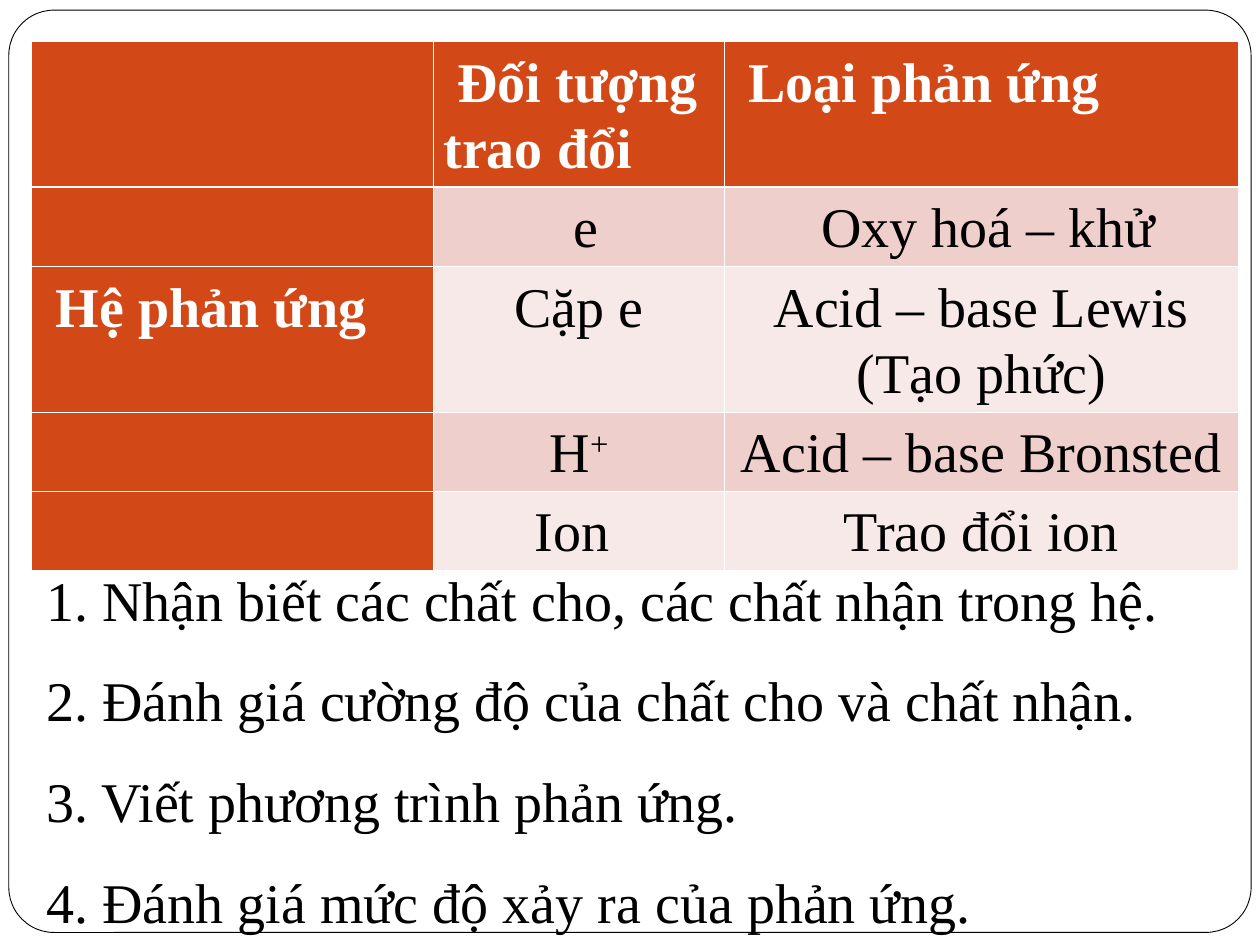
import pptx
import pptx.dml.color
import pptx.enum.shapes
import pptx.enum.text
import pptx.oxml
import pptx.oxml.ns
import pptx.util
from dataclasses import dataclass

ALIGN = pptx.enum.text.PP_ALIGN


@dataclass(frozen=True)
class Theme:
    font: str = "Times New Roman"
    size: int = 32
    ink: str = "000000"
    paper: str = "FFFFFF"
    head: str = "D34817"
    bands: tuple = ("F7E9E7", "EFCFCC")
    thin: float = 0.45
    thick: float = 1.47


@dataclass(frozen=True)
class Row:
    units: int  # height in text lines
    cells: tuple


@dataclass(frozen=True)
class Box:
    """Shares of the slide's width and height."""
    left: float
    top: float
    width: float
    height: float

    def place(self) -> tuple:
        return (int(WIDE * self.left), int(HIGH * self.top),
                int(WIDE * self.width), int(HIGH * self.height))


THEME = Theme()
WIDE, HIGH = pptx.util.Inches(10), pptx.util.Inches(7.5)
UNIT = pptx.util.Inches(0.57)
COLS = (0.319, 0.231, 0.408)
FRAME = Box(0.007, 0.0107, 0.986, 0.976)
GRID = Box(0.025, 0.044, 0.958, 0.532)
STEPS = Box(0.027, 0.556, 0.958, 0.512)

ROWS = (
    Row(2, ("", " Đối tượng trao đổi", " Loại phản ứng")),
    Row(1, ("", " e", " Oxy hoá – khử")),
    Row(2, (" Hệ phản ứng", " Cặp e ", "Acid – base Lewis (Tạo phức)")),
    Row(1, ("", "H^+", "Acid – base Bronsted")),  # ^ starts a superscript
    Row(1, ("", "Ion ", "Trao đổi ion")),
)
NOTES = (
    "1. Nhận biết các chất cho, các chất nhận trong hệ.",
    "2. Đánh giá cường độ của chất cho và chất nhận.",
    "3. Viết phương trình phản ứng.",
    "4. Đánh giá mức độ xảy ra của phản ứng.",
)


def color(code: str) -> pptx.dml.color.RGBColor:
    return pptx.dml.color.RGBColor.from_string(code)


def write(para, text: str, ink: str, gap: float, bold: bool = False,
          align=ALIGN.LEFT) -> None:
    base, _, power = text.partition("^")
    para.add_run().text = base
    if power:
        run = para.add_run()
        run.text = power
        run.font._element.set("baseline", "30000")
    para.alignment = align
    para.line_spacing = gap
    font = para.font
    font.name, font.size, font.bold = THEME.font, pptx.util.Pt(THEME.size), bold
    font.color.rgb = color(ink)


def edge(cell, side: str, width: float) -> None:
    line = pptx.oxml.parse_xml(
        f'<a:ln{side} {pptx.oxml.ns.nsdecls("a")} w="{pptx.util.Pt(width)}">'
        f'<a:solidFill><a:srgbClr val="{THEME.paper}"/></a:solidFill>'
        f'</a:ln{side}>')
    cell._tc.get_or_add_tcPr().append(line)


def frame(slide) -> None:
    shape = slide.shapes.add_shape(
        pptx.enum.shapes.MSO_SHAPE.ROUNDED_RECTANGLE, *FRAME.place())
    shape.adjustments[0] = 0.049
    shape.shadow.inherit = False
    shape.fill.solid()
    shape.fill.fore_color.rgb = color(THEME.paper)
    shape.line.color.rgb = color(THEME.ink)
    shape.line.width = pptx.util.Pt(0.5)


def grid(slide) -> None:
    table = slide.shapes.add_table(len(ROWS), len(COLS), *GRID.place()).table
    table.first_col = True
    for col, share in zip(table.columns, COLS):
        col.width = int(WIDE * share)
    for r, row in enumerate(ROWS):
        table.rows[r].height = row.units * UNIT
        for c, text in enumerate(row.cells):
            cell = table.cell(r, c)
            head = r == 0 or c == 0
            cell.margin_left = cell.margin_right = pptx.util.Inches(0.08)
            # Thick rule under the header row
            for side in "LRTB":
                rule = (r, side) in ((0, "B"), (1, "T"))
                edge(cell, side, THEME.thick if rule else THEME.thin)
            cell.fill.solid()
            cell.fill.fore_color.rgb = color(
                THEME.head if head else THEME.bands[r % 2])
            if text:
                write(cell.text_frame.paragraphs[0], text,
                      THEME.paper if head else THEME.ink, 1.07, head,
                      ALIGN.LEFT if head else ALIGN.CENTER)


def steps(slide) -> None:
    body = slide.shapes.add_textbox(*STEPS.place()).text_frame
    body.word_wrap = True
    for i, note in enumerate(NOTES):
        para = body.add_paragraph() if i else body.paragraphs[0]
        write(para, note, THEME.ink, 1.5)


def main() -> None:
    deck = pptx.Presentation()
    deck.slide_width, deck.slide_height = WIDE, HIGH
    slide = deck.slides.add_slide(deck.slide_layouts[6])
    frame(slide)
    grid(slide)
    steps(slide)
    deck.save("out.pptx")


if __name__ == "__main__":
    main()
